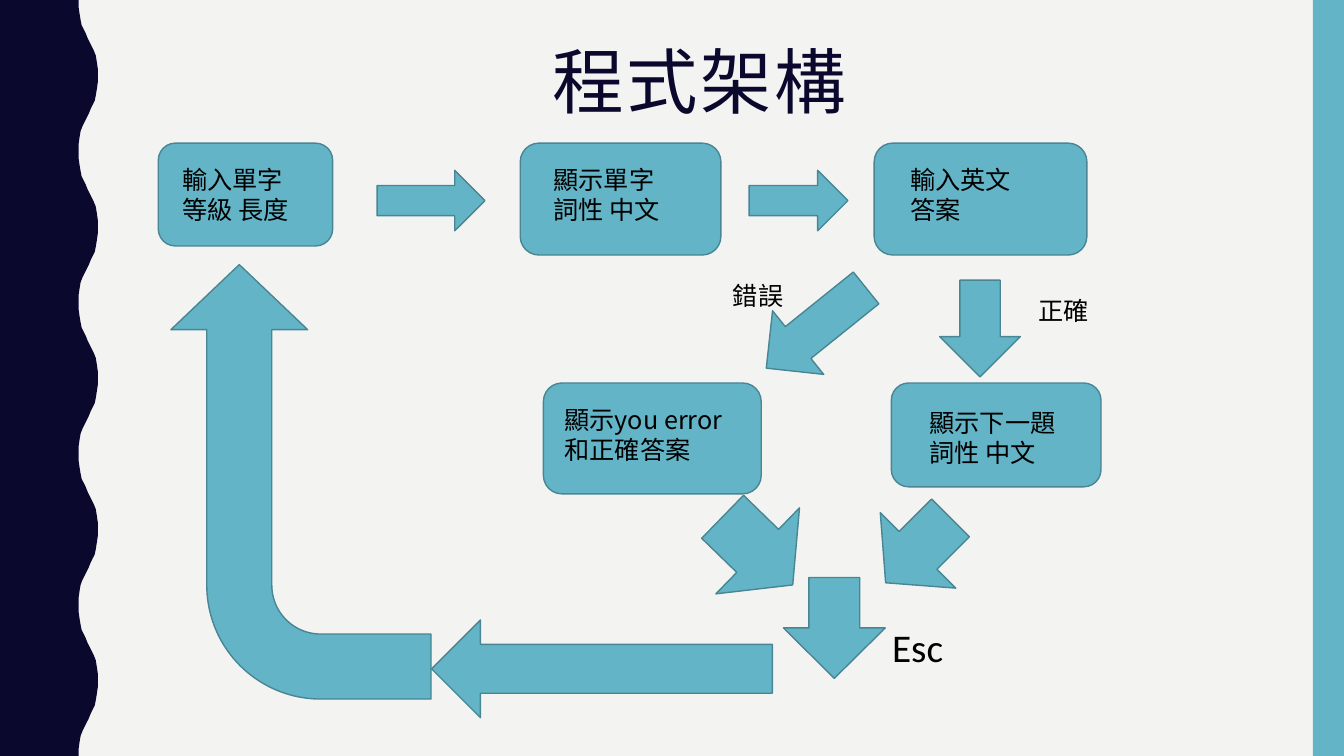
import pptx
import pptx.util
import pptx.dml.color
import pptx.enum.shapes
import pptx.enum.text
import pptx.oxml.ns
import lxml.etree

RGB = pptx.dml.color.RGBColor
KIND = pptx.enum.shapes.MSO_SHAPE
ALIGN = pptx.enum.text.PP_ALIGN
NAVY = RGB(0x0B, 0x08, 0x2E)
TEAL = RGB(0x62, 0xB4, 0xC6)
EDGE = RGB(0x49, 0x85, 0x92)
PALE = RGB(0xF3, 0xF3, 0xF2)
BLACK = RGB(0, 0, 0)
CJK = "Noto Sans CJK SC"

# The slide is a grid of 1333 columns by 750 rows.
COLS, ROWS = 1333, 750
CELL = pptx.util.Inches(0.01)

# Half a wave of the left edge, as column and row; the other half mirrors it.
CURVE = [(78, 0), (78, 7), (79, 14), (80, 20), (81, 25), (83, 29), (85, 33),
         (87, 38), (89, 42), (91, 46), (93, 50), (95, 55), (96, 61), (97, 68)]
HALF = 75

BOXES = [
    (KIND.FLOWCHART_ALTERNATE_PROCESS, (157, 142, 173, 102)),
    (KIND.FLOWCHART_ALTERNATE_PROCESS, (516, 142, 199, 111)),
    (KIND.FLOWCHART_ALTERNATE_PROCESS, (867, 142, 211, 111)),
    (KIND.FLOWCHART_ALTERNATE_PROCESS, (884, 380, 208, 103)),
    (KIND.ROUNDED_RECTANGLE, (539, 380, 216, 110)),
]
ARROWS = [
    (KIND.RIGHT_ARROW, (374, 169, 107, 60), 0),
    (KIND.RIGHT_ARROW, (743, 169, 98, 60), 0),
    (KIND.RIGHT_ARROW, (924, 286, 96, 80), 90),
    (KIND.DOWN_ARROW, (769, 262, 81, 127), 51.2),
    (KIND.RIGHT_ARROW, (865, 493, 91, 106), 135),
    (KIND.DOWN_ARROW, (692, 498, 119, 97), 314.2),
    (KIND.DOWN_ARROW, (777, 573, 101, 100), 0),
    (KIND.LEFT_ARROW, (428, 615, 338, 97), 0),
]
RETURN = (KIND.BENT_ARROW, (83, 349, 431, 258), 270, (0.25, 0.263, 0.25, 0.438))

STEP = {"size": pptx.util.Pt(18), "name": CJK}
MARK = {"size": pptx.util.Pt(18), "name": "Calibri"}
EXIT = {"size": pptx.util.Pt(28), "name": "Calibri"}
HEAD = {"size": pptx.util.Pt(51), "name": "Roboto Condensed"}
TEXTS = [
    ((171, 158, 144, 71), ["輸入單字等級 長度"], STEP),
    ((539, 158, 149, 71), ["顯示單字", "詞性 中文"], STEP),
    ((893, 158, 127, 71), ["輸入英文答案"], STEP),
    ((912, 399, 146, 71), ["顯示下一題", "詞性 中文"], STEP),
    ((550, 396, 196, 71), ["顯示you error", "和正確答案"], STEP),
    ((1020, 288, 72, 40), ["正確"], MARK),
    ((717, 273, 75, 40), ["錯誤"], MARK),
    ((875, 613, 152, 57), ["Esc"], EXIT),
]


def place(area):
    return [round(n * CELL) for n in area]


def paint(shape, fill, edge=None):
    shape.shadow.inherit = False
    shape.fill.solid()
    shape.fill.fore_color.rgb = fill
    if edge is None:
        shape.line.fill.background()
    else:
        shape.line.color.rgb = edge
        shape.line.width = pptx.util.Pt(1)


def block(slide, kind, area, turn=0, bends=(), edge=EDGE):
    """Add a teal preset shape, turned and adjusted."""
    shape = slide.shapes.add_shape(kind, *place(area))
    shape.rotation = turn
    for i, bend in enumerate(bends):
        shape.adjustments[i] = bend
    paint(shape, TEAL, edge)


def wave(slide):
    """Draw the navy band with its wavy right edge."""
    edge = [(0, 0)]
    for i in range(ROWS // HALF):
        for x, y in CURVE:
            edge.append((175 - x if i % 2 else x, i * HALF + y))
    edge += [(CURVE[0][0], ROWS), (0, ROWS)]
    pen = slide.shapes.build_freeform(*edge[0], scale=CELL)
    pen.add_line_segments(edge[1:], close=True)
    paint(pen.convert_to_shape(), NAVY)


def write(slide, area, lines, style, color=BLACK, align=ALIGN.LEFT,
          lead=1.0, track=0):
    frame = slide.shapes.add_textbox(*place(area)).text_frame
    frame.word_wrap = True
    for i, line in enumerate(lines):
        para = frame.add_paragraph() if i else frame.paragraphs[0]
        para.alignment = align
        para.line_spacing = lead
        run = para.add_run()
        run.text = line
        for key, value in style.items():
            setattr(run.font, key, value)
        run.font.color.rgb = color
        props = run.font._element
        east = lxml.etree.SubElement(props, pptx.oxml.ns.qn("a:ea"))
        east.set("typeface", CJK)
        props.find(pptx.oxml.ns.qn("a:latin")).addnext(east)
        if track:
            props.set("spc", str(track * 100))


def main():
    deck = pptx.Presentation()
    deck.slide_width, deck.slide_height = COLS * CELL, ROWS * CELL
    slide = deck.slides.add_slide(deck.slide_layouts[6])
    slide.background.fill.solid()
    slide.background.fill.fore_color.rgb = PALE
    wave(slide)
    block(slide, KIND.RECTANGLE, (1302, 0, 31, ROWS), edge=None)
    write(slide, (137, 42, 1113, 163), ["程式架構"], HEAD, NAVY,
          ALIGN.CENTER, 0.9, 2)
    for part in BOXES + ARROWS + [RETURN]:
        block(slide, *part)
    for text in TEXTS:
        write(slide, *text)
    deck.save("out.pptx")


if __name__ == "__main__":
    main()
